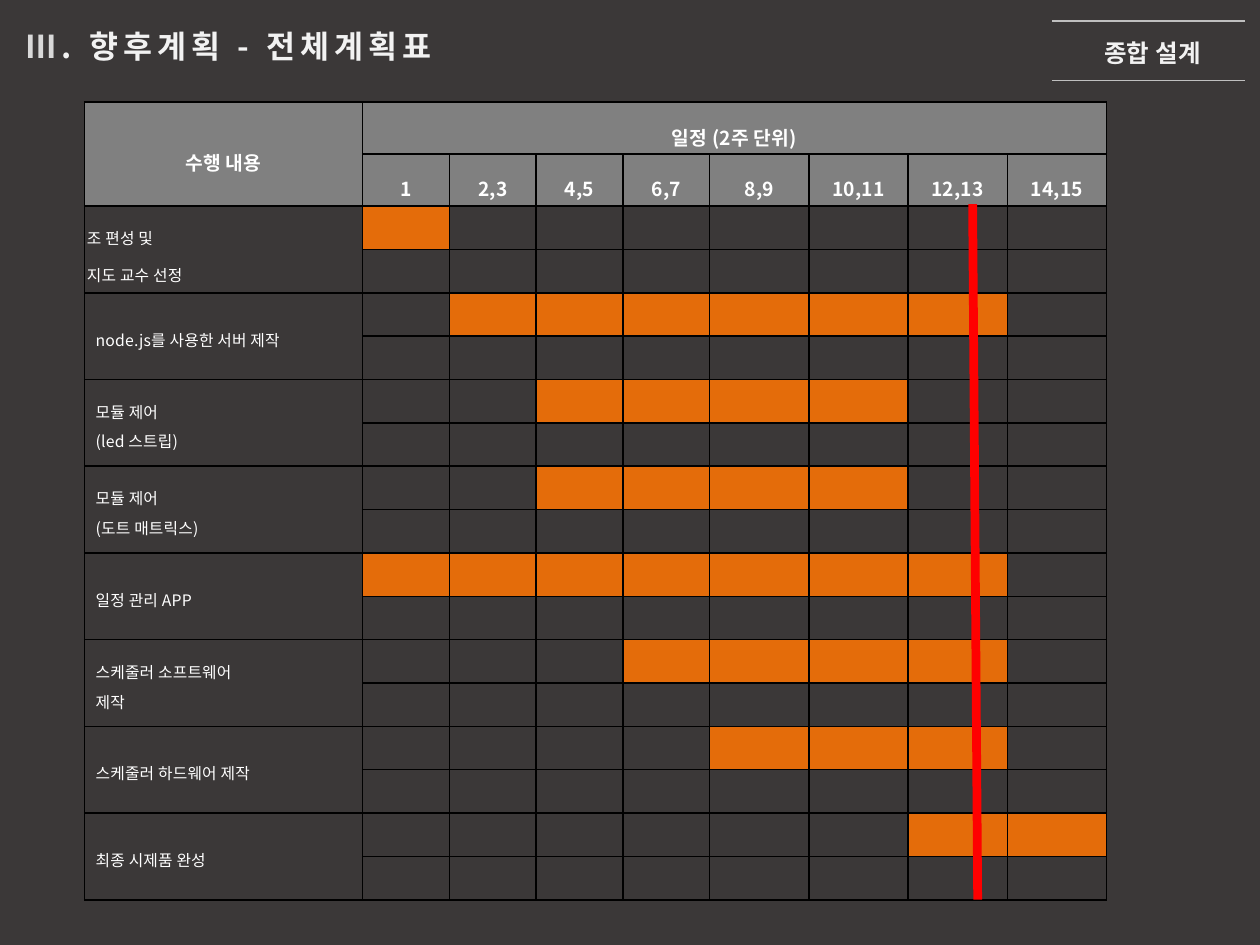
from dataclasses import dataclass

from lxml.etree import SubElement
from pptx import Presentation
from pptx.dml.color import RGBColor as Rgb
from pptx.enum.shapes import MSO_CONNECTOR as Connector
from pptx.enum.text import MSO_ANCHOR as Anchor
from pptx.enum.text import MSO_AUTO_SIZE as AutoSize
from pptx.enum.text import PP_ALIGN as Align
from pptx.oxml import parse_xml
from pptx.oxml.ns import nsdecls, qn
from pptx.util import Pt


@dataclass(frozen=True)
class Theme:
    font: str = "Noto Sans CJK KR"
    background: str = "3B3838"
    title: str = "F2F2F2"
    numeral: str = "D9D9D9"
    rule: str = "BFBFBF"
    cell_text: str = "FFFFFF"
    header: str = "808080"
    active: str = "E46C0A"
    border: str = "000000"
    today: str = "FF0000"
    title_size: float = 18
    course_size: float = 14
    header_size: float = 11
    task_size: float = 9


THEME = Theme()

PERIODS = ["1", "2,3", "4,5", "6,7", "8,9", "10,11", "12,13", "14,15"]
# Task lines, first and last active period
TASKS = [
    (["조 편성 및", "지도 교수 선정"], 1, 1),
    (["node.js를 사용한 서버 제작"], 2, 7),
    (["모듈 제어", "(led 스트립)"], 3, 6),
    (["모듈 제어", "(도트 매트릭스)"], 3, 6),
    (["일정 관리 APP"], 1, 7),
    (["스케줄러 소프트웨어", "제작"], 4, 7),
    (["스케줄러 하드웨어 제작"], 5, 7),
    (["최종 시제품 완성"], 7, 8),
]
COLUMN_WIDTHS = [158.9] + [49.6] * 4 + [56.7] * 4
ROW_HEIGHTS = [29.7] * 2 + [24.8] * 2 * len(TASKS)


def add_span(para, text, size, color, bold=False, spacing=0.1):
    span = para.add_run()
    span.text = text
    span.font.size = Pt(size)
    span.font.bold = bold
    span.font.name = THEME.font
    span.font.color.rgb = Rgb.from_string(color)
    properties = span.font._element
    properties.set("spc", str(round(spacing * 100)))
    SubElement(properties, qn("a:ea")).set("typeface", THEME.font)


def add_text_box(shapes, left, top, width, height, wrap, align):
    box = shapes.add_textbox(Pt(left), Pt(top), Pt(width), Pt(height))
    box.text_frame.word_wrap = wrap
    box.text_frame.auto_size = AutoSize.SHAPE_TO_FIT_TEXT
    para = box.text_frame.paragraphs[0]
    para.alignment = align
    return para


def add_line(shapes, x1, y1, x2, y2, color, width):
    line = shapes.add_connector(Connector.STRAIGHT, Pt(x1), Pt(y1), Pt(x2), Pt(y2))
    line.line.color.rgb = Rgb.from_string(color)
    line.line.width = Pt(width)
    SubElement(line._element.spPr, qn("a:effectLst"))


def format_cell(cell):
    """Give a cell its margins, no fill, borders and a small empty line."""
    cell.margin_left = cell.margin_right = Pt(1.4)
    cell.margin_top = cell.margin_bottom = Pt(1.4)
    cell.vertical_anchor = Anchor.MIDDLE
    cell.fill.background()
    properties = cell._tc.get_or_add_tcPr()
    for position, side in enumerate("LRTB"):
        properties.insert(position, parse_xml(
            f'<a:ln{side} {nsdecls("a")} w="{Pt(1)}"><a:solidFill>'
            f'<a:srgbClr val="{THEME.border}"/></a:solidFill></a:ln{side}>'))
    end = SubElement(cell.text_frame.paragraphs[0]._p, qn("a:endParaRPr"))
    end.set("sz", str(THEME.task_size * 100))


def fill_cell(cell, color):
    cell.fill.solid()
    cell.fill.fore_color.rgb = Rgb.from_string(color)


def write_cell(cell, lines, size, align, spacing, bold=False, indent=0):
    frame = cell.text_frame
    for number, text in enumerate(lines):
        para = frame.add_paragraph() if number else frame.paragraphs[0]
        para.alignment = align
        para.line_spacing = spacing
        if indent:
            properties = para._p.get_or_add_pPr()
            properties.set("marL", str(Pt(indent)))
            properties.set("indent", "0")
        add_span(para, text, size, THEME.cell_text, bold)


def write_header(cell, text):
    fill_cell(cell, THEME.header)
    write_cell(cell, [text], THEME.header_size, Align.CENTER, 1.6, bold=True)


def add_schedule(page, left, top):
    frame = page.shapes.add_table(
        len(ROW_HEIGHTS), len(COLUMN_WIDTHS), Pt(left), Pt(top),
        Pt(sum(COLUMN_WIDTHS)), Pt(sum(ROW_HEIGHTS)))
    table = frame.table
    table.first_row = table.horz_banding = False
    for column, width in zip(table.columns, COLUMN_WIDTHS):
        column.width = Pt(width)
    for row, height in zip(table.rows, ROW_HEIGHTS):
        row.height = Pt(height)
    for cell in table.iter_cells():
        format_cell(cell)

    # Header rows
    table.cell(0, 0).merge(table.cell(1, 0))
    table.cell(0, 1).merge(table.cell(0, len(PERIODS)))
    write_header(table.cell(0, 0), "수행 내용")
    write_header(table.cell(0, 1), "일정 (2주 단위)")
    for column, period in enumerate(PERIODS, 1):
        write_header(table.cell(1, column), period)

    # Two rows per task, the upper one shows the active periods
    for number, (lines, first, last) in enumerate(TASKS):
        row = 2 + 2 * number
        table.cell(row, 0).merge(table.cell(row + 1, 0))
        spacing, indent = (1.3, 5) if number else (1.6, 0)
        write_cell(table.cell(row, 0), lines, THEME.task_size,
                   Align.JUSTIFY, spacing, indent=indent)
        for column in range(first, last + 1):
            fill_cell(table.cell(row, column), THEME.active)


def add_course_label(page):
    shapes = page.shapes.add_group_shape().shapes
    para = add_text_box(shapes, 620, 18, 73.4, 23, False, Align.RIGHT)
    add_span(para, "종합 설계", THEME.course_size, THEME.title, bold=True)
    for y in (12, 46):
        add_line(shapes, 601.2, y, 711.4, y, THEME.rule, 0.75)


def add_title(page):
    para = add_text_box(page.shapes, 7.2, 12.2, 367, 28, True, Align.LEFT)
    for text, color in (("Ⅲ", THEME.numeral), (". 향후계획 - 전체계획표", THEME.title)):
        add_span(para, text, THEME.title_size, color, bold=True, spacing=2.9)


def main():
    deck = Presentation()
    deck.slide_width, deck.slide_height = Pt(720), Pt(540)
    page = deck.slides.add_slide(deck.slide_layouts[6])
    page.background.fill.solid()
    page.background.fill.fore_color.rgb = Rgb.from_string(THEME.background)

    add_course_label(page)
    add_title(page)
    add_schedule(page, 48.3, 58.4)
    # Current date marker
    add_line(page.shapes, 555.8, 116.6, 558.7, 514.1, THEME.today, 5)

    deck.save("out.pptx")


if __name__ == "__main__":
    main()
